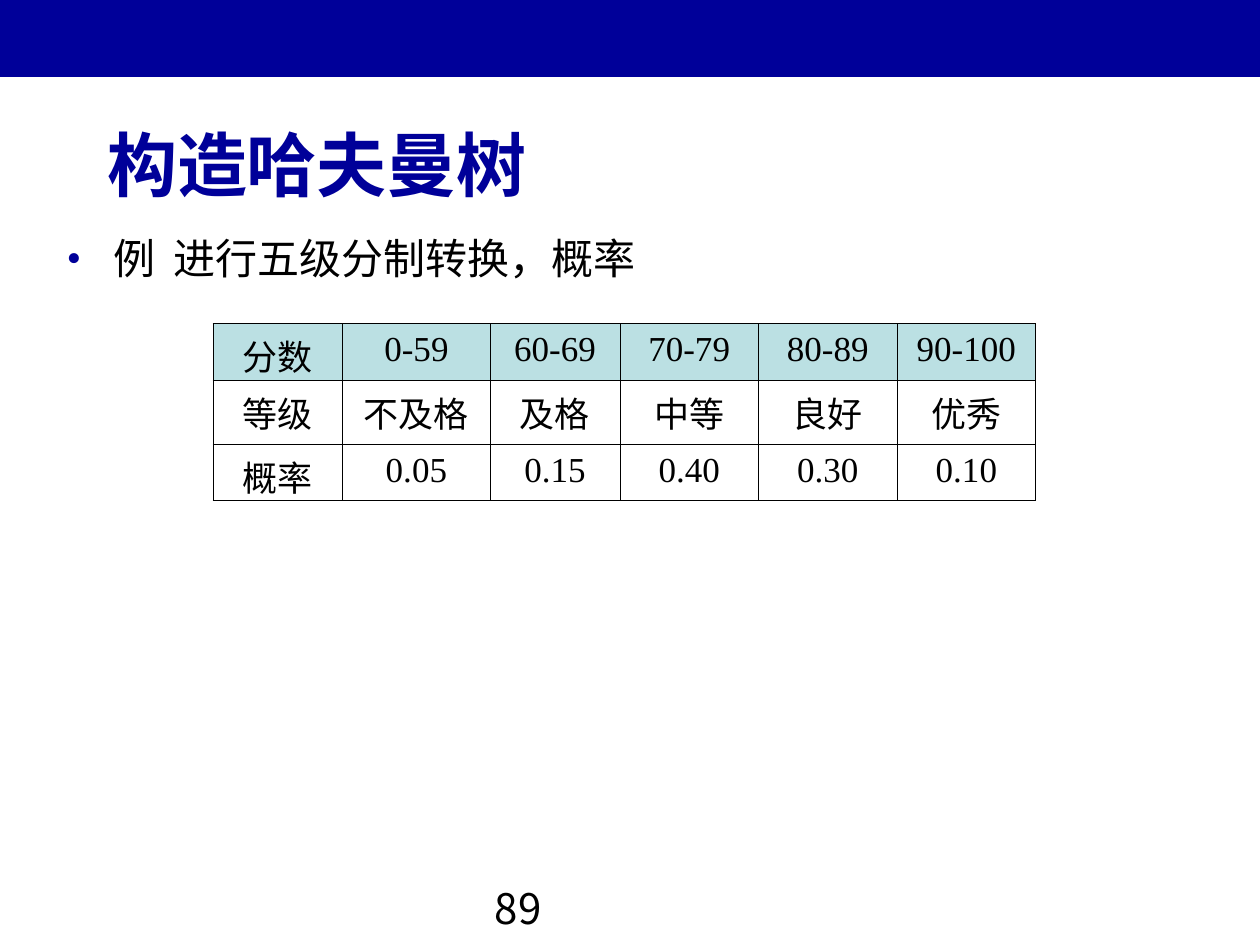
from dataclasses import dataclass

from lxml import etree
from pptx import Presentation
from pptx.dml.color import RGBColor
from pptx.enum.shapes import MSO_SHAPE
from pptx.enum.text import MSO_ANCHOR, MSO_AUTO_SIZE, PP_ALIGN
from pptx.oxml.ns import qn
from pptx.util import Inches, Pt

RECTANGLE = MSO_SHAPE.RECTANGLE
MIDDLE, TOP = MSO_ANCHOR.MIDDLE, MSO_ANCHOR.TOP
NO_FIT = MSO_AUTO_SIZE.NONE
LEFT, CENTER = PP_ALIGN.LEFT, PP_ALIGN.CENTER

COLUMNS, ROWS = 100, 75
UNIT = Inches(0.1)
TITLE_ONLY = 5
HANGING = 3.7


@dataclass(frozen=True)
class Theme:
    """Colours, fonts and type sizes of the slide."""

    navy: RGBColor = RGBColor(0x00, 0x00, 0x99)
    ink: RGBColor = RGBColor(0x00, 0x00, 0x00)
    header: RGBColor = RGBColor(0xBB, 0xE0, 0xE3)
    sans: str = "Noto Sans CJK SC"
    serif: str = "Times New Roman"
    title: float = 40
    body: float = 24
    table: float = 20
    rule: float = 0.45


THEME = Theme()

TITLE = "构造哈夫曼树"
EXAMPLE = "例  进行五级分制转换，概率"
PAGE = "89"
GRADES = [
    ["分数", "0-59", "60-69", "70-79", "80-89", "90-100"],
    ["等级", "不及格", "及格", "中等", "良好", "优秀"],
    ["概率", "0.05", "0.15", "0.40", "0.30", "0.10"],
]
GRADE_COLUMNS = [10.3, 11.7, 10.3, 11, 11, 11]
GRADE_ROWS = [4.5, 5.1, 4.4]


def grid(count):
    """Turn a number of grid units into a length."""
    return int(count * UNIT)


def apply(target, values):
    """Set every attribute named in a dict of format values."""
    for name, value in values.items():
        setattr(target, name, value)


def write(frame, text, size, color, face, bold=False, **paragraph_format):
    """Fill a text frame with one formatted paragraph."""
    paragraph = frame.paragraphs[0]
    apply(paragraph, paragraph_format)
    run = paragraph.add_run()
    run.text = text
    apply(run.font, {"size": Pt(size), "name": face, "bold": bold})
    run.font.color.rgb = color
    east_asian = etree.SubElement(run.font._element, qn("a:ea"))
    east_asian.set("typeface", THEME.sans)
    return paragraph


def indent(paragraph):
    """Give a paragraph a hanging indent."""
    properties = paragraph._p.get_or_add_pPr()
    properties.set("marL", str(grid(HANGING)))
    properties.set("indent", str(-grid(HANGING)))
    return properties


def add_band(slide, box):
    """Draw the plain band across the top."""
    band = slide.shapes.add_shape(RECTANGLE, *map(grid, box))
    band.shadow.inherit = False
    band.fill.solid()
    band.fill.fore_color.rgb = THEME.navy
    band.line.fill.background()


def add_title(slide, box):
    """Place and format the title placeholder."""
    title = slide.shapes.title
    apply(title, dict(zip(("left", "top", "width", "height"), map(grid, box))))
    apply(title.text_frame, {"vertical_anchor": MIDDLE, "word_wrap": True, "auto_size": NO_FIT})
    write(title.text_frame, TITLE, THEME.title, THEME.navy, THEME.sans, bold=True, alignment=LEFT)


def add_text(slide, box, text):
    """Add a wrapped body text box and return its paragraph."""
    frame = slide.shapes.add_textbox(*map(grid, box)).text_frame
    apply(frame, {"word_wrap": True, "vertical_anchor": TOP})
    return write(frame, text, THEME.body, THEME.ink, THEME.sans, alignment=LEFT, line_spacing=0.9)


def add_example(slide, box):
    """Add the bulleted example line."""
    properties = indent(add_text(slide, box, EXAMPLE))
    bullet_color = etree.SubElement(properties, qn("a:buClr"))
    etree.SubElement(bullet_color, qn("a:srgbClr")).set("val", str(THEME.navy))
    etree.SubElement(properties, qn("a:buFont")).set("typeface", THEME.serif)
    etree.SubElement(properties, qn("a:buChar")).set("char", "•")


def add_borders(cell):
    """Rule all four sides of a table cell."""
    properties = cell._tc.get_or_add_tcPr()
    for side in ("a:lnL", "a:lnR", "a:lnT", "a:lnB"):
        line = etree.SubElement(properties, qn(side))
        line.set("w", str(Pt(THEME.rule)))
        fill = etree.SubElement(line, qn("a:solidFill"))
        etree.SubElement(fill, qn("a:srgbClr")).set("val", str(THEME.ink))


def add_grades(slide, box):
    """Add the table of scores, grades and probabilities."""
    table = slide.shapes.add_table(len(GRADES), len(GRADES[0]), *map(grid, box)).table
    apply(table, {"first_row": False, "horz_banding": False})
    for column, width in zip(table.columns, GRADE_COLUMNS):
        column.width = grid(width)
    for row, height, texts in zip(table.rows, GRADE_ROWS, GRADES):
        row.height = grid(height)
        for cell, text in zip(row.cells, texts):
            add_borders(cell)
            if texts is GRADES[0]:
                cell.fill.solid()
                cell.fill.fore_color.rgb = THEME.header
            else:
                cell.fill.background()
            indent(write(cell.text_frame, text, THEME.table, THEME.ink, THEME.serif, alignment=CENTER))


def main():
    """Build and save the slide."""
    deck = Presentation()
    apply(deck, {"slide_width": grid(COLUMNS), "slide_height": grid(ROWS)})
    slide = deck.slides.add_slide(deck.slide_layouts[TITLE_ONLY])
    add_band(slide, (0, 0, COLUMNS, 6.1))
    add_title(slide, (7.5, 6.7, 85, 12.5))
    add_example(slide, (4.3, 18.4, 89.8, 45))
    add_grades(slide, (16.9, 25.7, sum(GRADE_COLUMNS), sum(GRADE_ROWS)))
    add_text(slide, (38.3, 70, 20.8, 5), PAGE)
    deck.save("out.pptx")


if __name__ == "__main__":
    main()
